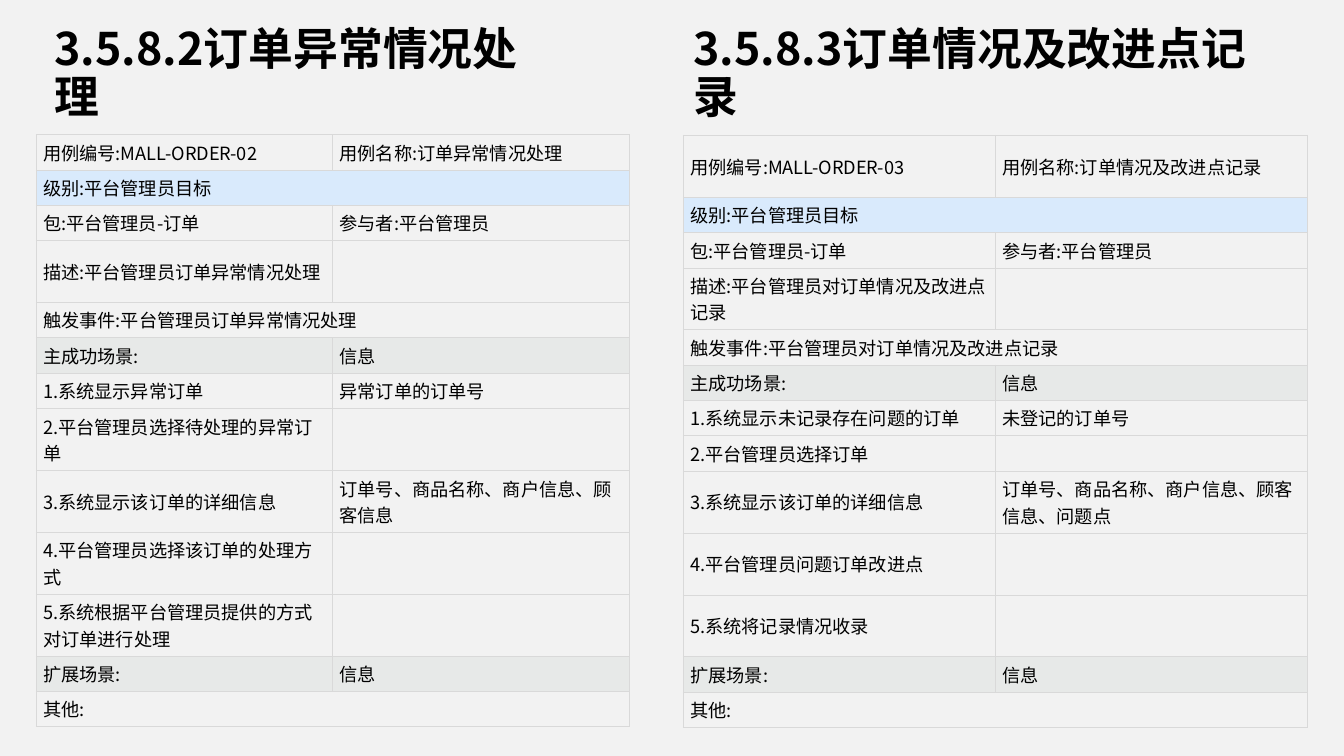
from dataclasses import dataclass

from lxml.etree import SubElement
from pptx import Presentation
from pptx.dml.color import RGBColor
from pptx.enum.text import MSO_ANCHOR
from pptx.oxml.ns import qn
from pptx.util import Cm, Pt


@dataclass(frozen=True)
class Theme:
    font: str = "Noto Sans CJK SC"
    background: str = "F2F2F2"
    text: str = "000000"
    border: str = "D9D9D9"
    level_fill: str = "D9EAFC"
    section_fill: str = "E7E9E8"
    title_size: int = 32
    body_size: int = 13
    border_width: float = 0.6


@dataclass(frozen=True)
class Row:
    texts: tuple  # a single text spans both columns
    fill: str = ""
    tall: bool = False


THEME = Theme()
ROW_HEIGHT, TALL_ROW_HEIGHT = Cm(0.89), Cm(1.56)
CELL_FORMAT = {
    "vertical_anchor": MSO_ANCHOR.MIDDLE,
    "margin_left": Cm(0.18),
    "margin_right": Cm(0.18),
    "margin_top": Cm(0.1),
    "margin_bottom": Cm(0.1),
}
TITLE_FORMAT = {"word_wrap": True, "vertical_anchor": MSO_ANCHOR.MIDDLE}
TABLE_FORMAT = {"first_row": False, "horz_banding": False}


def apply_format(target, values):
    for name, value in values.items():
        setattr(target, name, value)


# Text
def write_text(paragraph, text, size, bold=False):
    if not text:
        # An empty cell keeps the body size, so its row does not grow
        SubElement(paragraph._p, qn("a:endParaRPr"), sz=str(size * 100))
        return
    run = paragraph.add_run()
    run.text = text
    apply_format(run.font, {"name": THEME.font, "size": Pt(size), "bold": bold})
    run.font.color.rgb = RGBColor.from_string(THEME.text)
    SubElement(run.font._element, qn("a:ea"), typeface=THEME.font)


def add_title(slide, text, left, width):
    shape = slide.shapes.add_textbox(left, Cm(0.74), width, Cm(2.31))
    apply_format(shape.text_frame, TITLE_FORMAT)
    paragraph = shape.text_frame.paragraphs[0]
    paragraph.line_spacing = 0.9
    write_text(paragraph, text, THEME.title_size, bold=True)


# Table
def set_borders(cell):
    properties = cell._tc.get_or_add_tcPr()
    for side in ("lnL", "lnR", "lnT", "lnB"):
        line = SubElement(properties, qn(f"a:{side}"), w=str(Pt(THEME.border_width)))
        fill = SubElement(line, qn("a:solidFill"))
        SubElement(fill, qn("a:srgbClr"), val=THEME.border)


def format_cell(cell, text, fill):
    apply_format(cell, CELL_FORMAT)
    set_borders(cell)
    if fill:
        cell.fill.solid()
        cell.fill.fore_color.rgb = RGBColor.from_string(fill)
    else:
        cell.fill.background()
    write_text(cell.text_frame.paragraphs[0], text, THEME.body_size)


def add_use_case_table(slide, rows, left, top, column_width):
    heights = [TALL_ROW_HEIGHT if row.tall else ROW_HEIGHT for row in rows]
    frame = slide.shapes.add_table(len(rows), 2, left, top, column_width * 2, sum(heights))
    table = frame.table
    apply_format(table, TABLE_FORMAT)
    for column in table.columns:
        column.width = column_width
    for index, (row, height) in enumerate(zip(rows, heights)):
        table.rows[index].height = height
        for column_index in range(2):
            text = row.texts[column_index] if column_index < len(row.texts) else ""
            format_cell(table.cell(index, column_index), text, row.fill)
        if len(row.texts) == 1:
            table.cell(index, 0).merge(table.cell(index, 1))


def use_case_rows(code, name, action, steps, tall_header=False):
    return [
        Row((f"用例编号:{code}", f"用例名称:{name}"), tall=tall_header),
        Row(("级别:平台管理员目标",), THEME.level_fill),
        Row(("包:平台管理员-订单", "参与者:平台管理员")),
        Row((f"描述:{action}", ""), tall=True),
        Row((f"触发事件:{action}",)),
        Row(("主成功场景:", "信息"), THEME.section_fill),
        *steps,
        Row(("扩展场景:", "信息"), THEME.section_fill),
        Row(("其他:",)),
    ]


def main():
    presentation = Presentation()
    apply_format(presentation, {"slide_width": Cm(33.87), "slide_height": Cm(19.05)})
    slide = presentation.slides.add_slide(presentation.slide_layouts[6])
    slide.background.fill.solid()
    slide.background.fill.fore_color.rgb = RGBColor.from_string(THEME.background)

    # Left: handling of abnormal orders
    add_title(slide, "3.5.8.2订单异常情况处理", Cm(1.12), Cm(12.67))
    exception_steps = [
        Row(("1.系统显示异常订单", "异常订单的订单号")),
        Row(("2.平台管理员选择待处理的异常订单", ""), tall=True),
        Row(("3.系统显示该订单的详细信息", "订单号、商品名称、商户信息、顾客信息"), tall=True),
        Row(("4.平台管理员选择该订单的处理方式", ""), tall=True),
        Row(("5.系统根据平台管理员提供的方式对订单进行处理", ""), tall=True),
    ]
    exception_rows = use_case_rows(
        "MALL-ORDER-02", "订单异常情况处理", "平台管理员订单异常情况处理", exception_steps)
    add_use_case_table(slide, exception_rows, Cm(0.91), Cm(3.39), Cm(7.47))

    # Right: record of order status and improvements
    add_title(slide, "3.5.8.3订单情况及改进点记录", Cm(17.22), Cm(15.54))
    record_steps = [
        Row(("1.系统显示未记录存在问题的订单", "未登记的订单号")),
        Row(("2.平台管理员选择订单", "")),
        Row(("3.系统显示该订单的详细信息", "订单号、商品名称、商户信息、顾客信息、问题点"), tall=True),
        Row(("4.平台管理员问题订单改进点", ""), tall=True),
        Row(("5.系统将记录情况收录", ""), tall=True),
    ]
    record_rows = use_case_rows(
        "MALL-ORDER-03", "订单情况及改进点记录", "平台管理员对订单情况及改进点记录",
        record_steps, tall_header=True)
    add_use_case_table(slide, record_rows, Cm(17.22), Cm(3.41), Cm(7.86))

    presentation.save("out.pptx")


if __name__ == "__main__":
    main()
